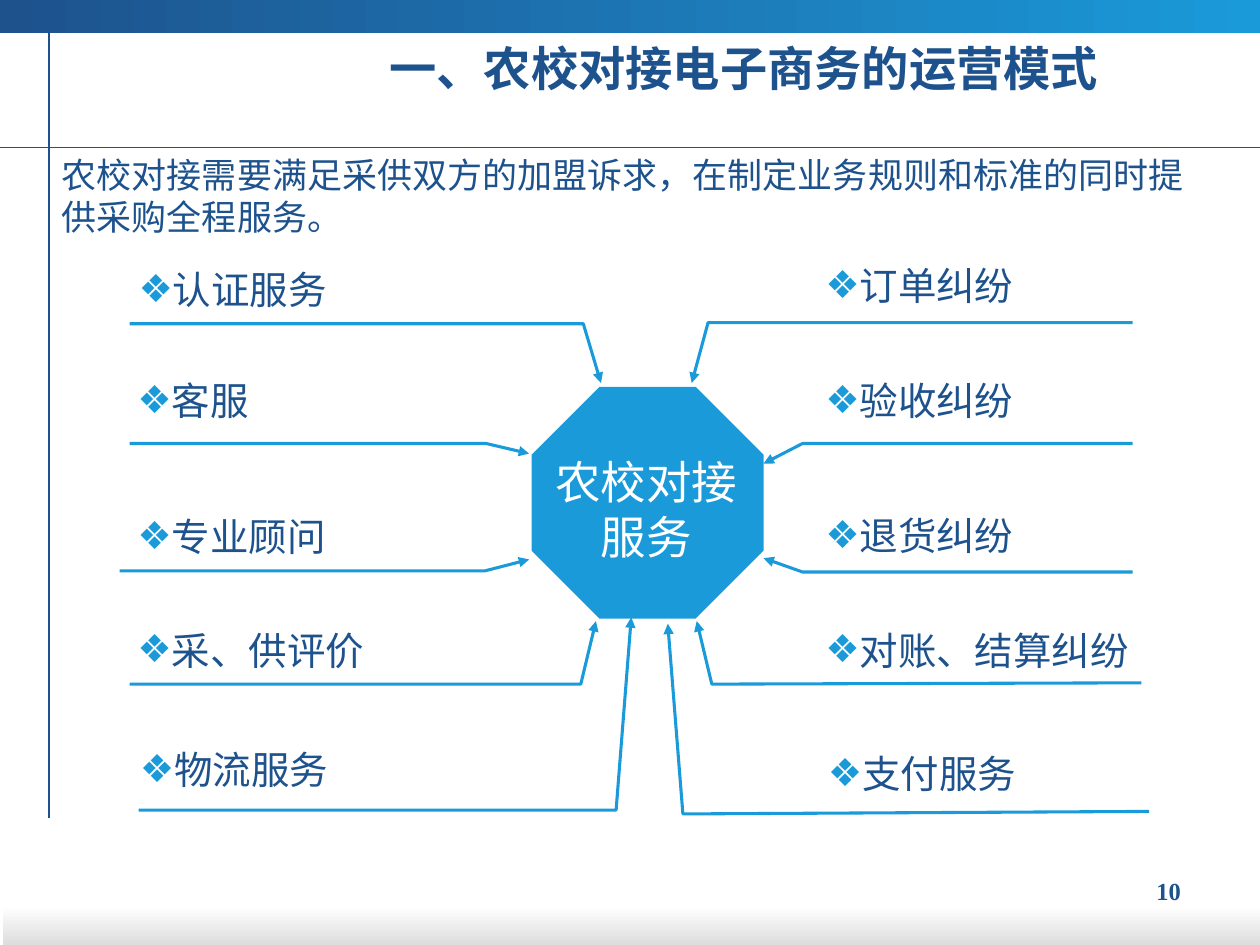
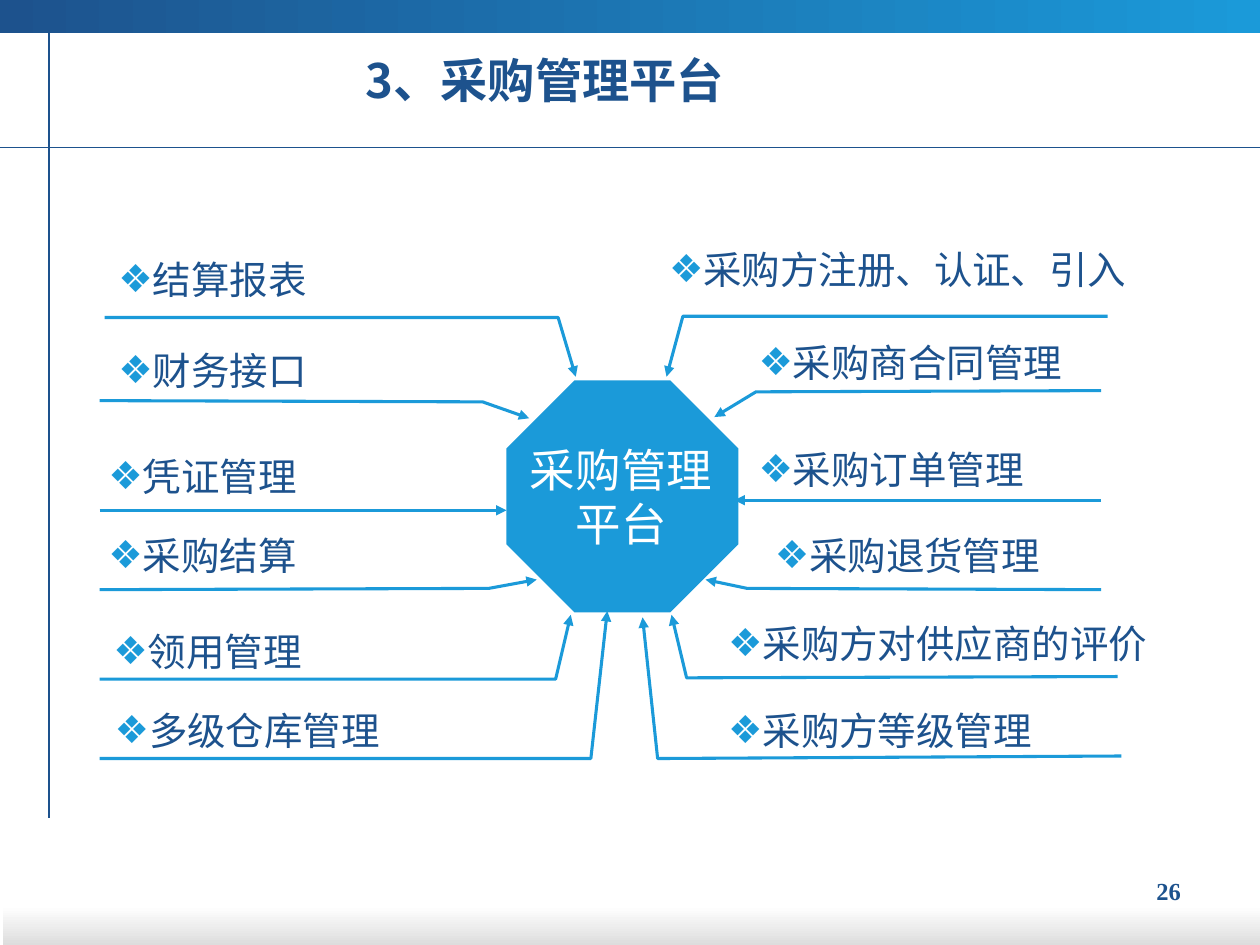
from lxml import etree
from pptx import Presentation
from pptx.dml.color import RGBColor
from pptx.enum.shapes import MSO_CONNECTOR, MSO_SHAPE
from pptx.enum.text import MSO_ANCHOR, MSO_AUTO_SIZE, PP_ALIGN
from pptx.oxml.ns import qn
from pptx.util import Inches, Pt

NAVY = RGBColor(0x1D, 0x52, 0x8D)
BLUE = RGBColor(0x1B, 0x9A, 0xD9)
WHITE = RGBColor(0xFF, 0xFF, 0xFF)
GREY = RGBColor(0xDD, 0xDD, 0xDD)

SANS, HAN, SERIF = "DejaVu Sans", "Noto Sans CJK SC", "Times New Roman"
LEFT, CENTER, RIGHT = PP_ALIGN.LEFT, PP_ALIGN.CENTER, PP_ALIGN.RIGHT
TOP, MIDDLE, BOTTOM = MSO_ANCHOR.TOP, MSO_ANCHOR.MIDDLE, MSO_ANCHOR.BOTTOM
GROW, FIXED = MSO_AUTO_SIZE.SHAPE_TO_FIT_TEXT, MSO_AUTO_SIZE.NONE
RECT, OCTAGON = MSO_SHAPE.RECTANGLE, MSO_SHAPE.OCTAGON
STRAIGHT = MSO_CONNECTOR.STRAIGHT

TITLE = {"name": HAN, "size": Pt(27), "bold": True, "color": NAVY}
INTRO = {"name": HAN, "size": Pt(20), "color": NAVY}
LABEL = {"name": SANS, "size": Pt(22), "color": NAVY}
HUB = {"name": SANS, "size": Pt(26), "color": WHITE}
PAGE = {"name": SERIF, "size": Pt(14), "bold": True, "color": NAVY}

HUB_SIZE = 1.84
LABEL_WIDTH, LABEL_HEIGHT = 3.24, 0.37

# Each branch: label, label left and top, arrow from the hub outwards, label width if wider
SERVICES = [
    ("认证服务", 1.1, 2.11, [(4.77, 3.04), (4.63, 2.57), (1.03, 2.57)]),
    ("客服", 1.09, 2.99, [(4.2, 3.6), (3.86, 3.52), (1.03, 3.52)]),
    ("专业顾问", 1.09, 4.07, [(4.2, 4.44), (3.85, 4.53), (0.95, 4.53)]),
    ("采、供评价", 1.09, 4.97, [(4.73, 4.93), (4.61, 5.43), (1.03, 5.43)]),
    ("物流服务", 1.11, 5.92, [(5.01, 4.9), (4.89, 6.43), (1.1, 6.43)]),
    ("订单纠纷", 6.55, 2.08, [(5.49, 3.04), (5.62, 2.56), (8.99, 2.56)]),
    ("验收纠纷", 6.55, 2.99, [(6.06, 3.68), (6.37, 3.52), (8.99, 3.52)]),
    ("退货纠纷", 6.55, 4.06, [(6.06, 4.43), (6.37, 4.54), (8.99, 4.54)]),
    ("对账、结算纠纷", 6.55, 4.97, [(5.53, 4.93), (5.65, 5.43), (9.06, 5.42)]),
    ("支付服务", 6.57, 5.95, [(5.3, 4.95), (5.42, 6.46), (9.12, 6.44)]),
]
MODULES = [
    ("结算报表", 0.94, 2.03, [(4.57, 2.99), (4.43, 2.52), (0.83, 2.52)]),
    ("财务接口", 0.94, 2.75, [(4.2, 3.32), (3.83, 3.19), (0.79, 3.18)]),
    ("凭证管理", 0.86, 3.59, [(4.02, 4.05), (0.79, 4.05)]),
    ("采购结算", 0.86, 4.22, [(4.26, 4.6), (3.88, 4.67), (0.79, 4.68)]),
    ("领用管理", 0.9, 4.98, [(4.53, 4.88), (4.41, 5.39), (0.79, 5.39)]),
    ("多级仓库管理", 0.91, 5.61, [(4.82, 4.85), (4.69, 6.02), (0.79, 6.02)]),
    ("采购方注册、认证、引入", 5.31, 1.95, [(5.29, 2.99), (5.42, 2.51), (8.79, 2.51)], 3.79),
    ("采购商合同管理", 6.02, 2.69, [(5.67, 3.31), (6, 3.11), (8.74, 3.1)], 3.39),
    ("采购订单管理", 6.02, 3.54, [(5.83, 3.97), (8.74, 3.97)], 3.39),
    ("采购退货管理", 6.15, 4.22, [(5.6, 4.6), (5.93, 4.67), (8.74, 4.68)]),
    ("采购方对供应商的评价", 5.78, 4.92, [(5.33, 4.88), (5.45, 5.38), (8.87, 5.37)], 3.83),
    ("采购方等级管理", 5.78, 5.61, [(5.1, 4.9), (5.22, 6.02), (8.9, 6)]),
]


def inches(*values):
    return [Inches(value) for value in values]


def tag(parent, name, **values):
    return etree.SubElement(parent, qn(name), **values)


class Deck:
    def __init__(self):
        self.prs = Presentation()
        self.prs.slide_width, self.prs.slide_height = inches(10, 7.5)
        self.slide = None

    def start(self, layout, page):
        """Add a slide with the shared bands, rules and page number."""
        self.slide = self.prs.slides.add_slide(self.prs.slide_layouts[layout])
        self.band((0.02, 7.19, 9.98, 0.31), WHITE, GREY, 270)
        self.band((0, 0, 10, 0.26), NAVY, BLUE, 0)
        self.text((8.62, 6.9, 0.85, 0.34), page, PAGE, align=RIGHT, inset=None)
        self.line((0, 1.17), (10, 1.17), NAVY, 0.75)
        self.line((0.39, 0.24), (0.39, 6.49), NAVY, 0.75)

    def shape(self, kind, at):
        shape = self.slide.shapes.add_shape(kind, *inches(*at))
        shape.shadow.inherit = False
        shape.line.fill.background()
        return shape

    def band(self, at, first, last, angle):
        fill = self.shape(RECT, at).fill
        fill.gradient()
        fill.gradient_angle = angle
        for stop, color in zip(fill.gradient_stops, (first, last)):
            stop.color.rgb = color

    def fill(self, frame, text, style, align=LEFT):
        """Fill a text frame with one styled paragraph."""
        para = frame.paragraphs[0]
        para.alignment = align
        para.space_before = Pt(0)
        run = para.add_run()
        run.text = text
        for key, value in style.items():
            if key == "color":
                run.font.color.rgb = value
            else:
                setattr(run.font, key, value)
        tag(run._r.get_or_add_rPr(), "a:ea", typeface=style["name"])
        return para

    def text(self, at, text, style, align=LEFT, anchor=TOP, inset=0, size=GROW):
        frame = self.slide.shapes.add_textbox(*inches(*at)).text_frame
        form = {"word_wrap": True, "auto_size": size, "vertical_anchor": anchor}
        if inset is not None:
            for side in ("left", "top", "right", "bottom"):
                form["margin_" + side] = Inches(inset)
        for key, value in form.items():
            setattr(frame, key, value)
        return self.fill(frame, text, style, align)

    def holder(self, index, at, text, style, anchor, size):
        """Move a placeholder and set its text without a bullet."""
        holder = self.slide.placeholders[index]
        holder.left, holder.top, holder.width, holder.height = inches(*at)
        form = {"word_wrap": True, "auto_size": size, "vertical_anchor": anchor}
        for key, value in form.items():
            setattr(holder.text_frame, key, value)
        para = self.fill(holder.text_frame, text, style)
        props = para._p.get_or_add_pPr()
        props.set("marL", "0")
        props.set("indent", "0")
        tag(props, "a:buNone")
        return para

    def title(self, left, top, text):
        self.holder(0, (left, top, 7.01, 0.58), text, TITLE, BOTTOM, FIXED)

    def intro(self, text):
        para = self.holder(1, (0.39, 1.17, 9.22, 0.77), text, INTRO, TOP, GROW)
        para.line_spacing = Pt(24)

    def line(self, start, end, color, width):
        line = self.slide.shapes.add_connector(STRAIGHT, *inches(*start, *end))
        line.line.color.rgb = color
        line.line.width = Pt(width)
        tag(line._element.spPr, "a:effectLst")
        return line

    def arrow(self, points):
        """Draw an arrow whose tip is the first point."""
        if len(points) == 2:
            shape = self.line(points[1], points[0], BLUE, 1.75)
            end = "a:tailEnd"
        else:
            tip, *rest = [inches(*point) for point in points]
            route = self.slide.shapes.build_freeform(*tip)
            route.add_line_segments(rest, close=False)
            shape = route.convert_to_shape()
            shape.shadow.inherit = False
            shape.fill.background()
            shape.line.color.rgb = BLUE
            shape.line.width = Pt(1.75)
            end = "a:headEnd"
        tag(shape._element.spPr.get_or_add_ln(), end, type="triangle")

    def label(self, text, left, top, width):
        para = self.text((left, top, width, LABEL_HEIGHT), text, LABEL, anchor=BOTTOM)
        props = para._p.get_or_add_pPr()
        tag(tag(props, "a:buClr"), "a:srgbClr", val=str(BLUE))
        tag(props, "a:buFont", typeface=SANS)
        tag(props, "a:buChar", char="❖")

    def hub(self, left, top, text, drop):
        """Draw the octagon, with its text a given drop below its top."""
        shape = self.shape(OCTAGON, (left, top, HUB_SIZE, HUB_SIZE))
        shape.adjustments[0] = 0.293
        shape.fill.solid()
        shape.fill.fore_color.rgb = BLUE
        self.text((left + 0.11, top + drop, 1.6, 0.88), text, HUB, CENTER, MIDDLE)

    def branches(self, rows):
        for text, left, top, points, *width in rows:
            self.arrow(points)
            self.label(text, left, top, *(width or [LABEL_WIDTH]))


def main():
    deck = Deck()

    deck.start(1, "10")
    deck.title(2.99, 0.23, "一、农校对接电子商务的运营模式")
    deck.intro("农校对接需要满足采供双方的加盟诉求，在制定业务规则和标准的同时提供采购全程服务。")
    deck.hub(4.22, 3.07, "农校对接服务", 0.53)
    deck.branches(SERVICES)

    deck.start(5, "26")
    deck.title(2.8, 0.33, "3、采购管理平台")
    deck.hub(4.02, 3.02, "采购管理平台", 0.48)
    deck.branches(MODULES)

    deck.prs.save("out.pptx")


if __name__ == "__main__":
    main()
